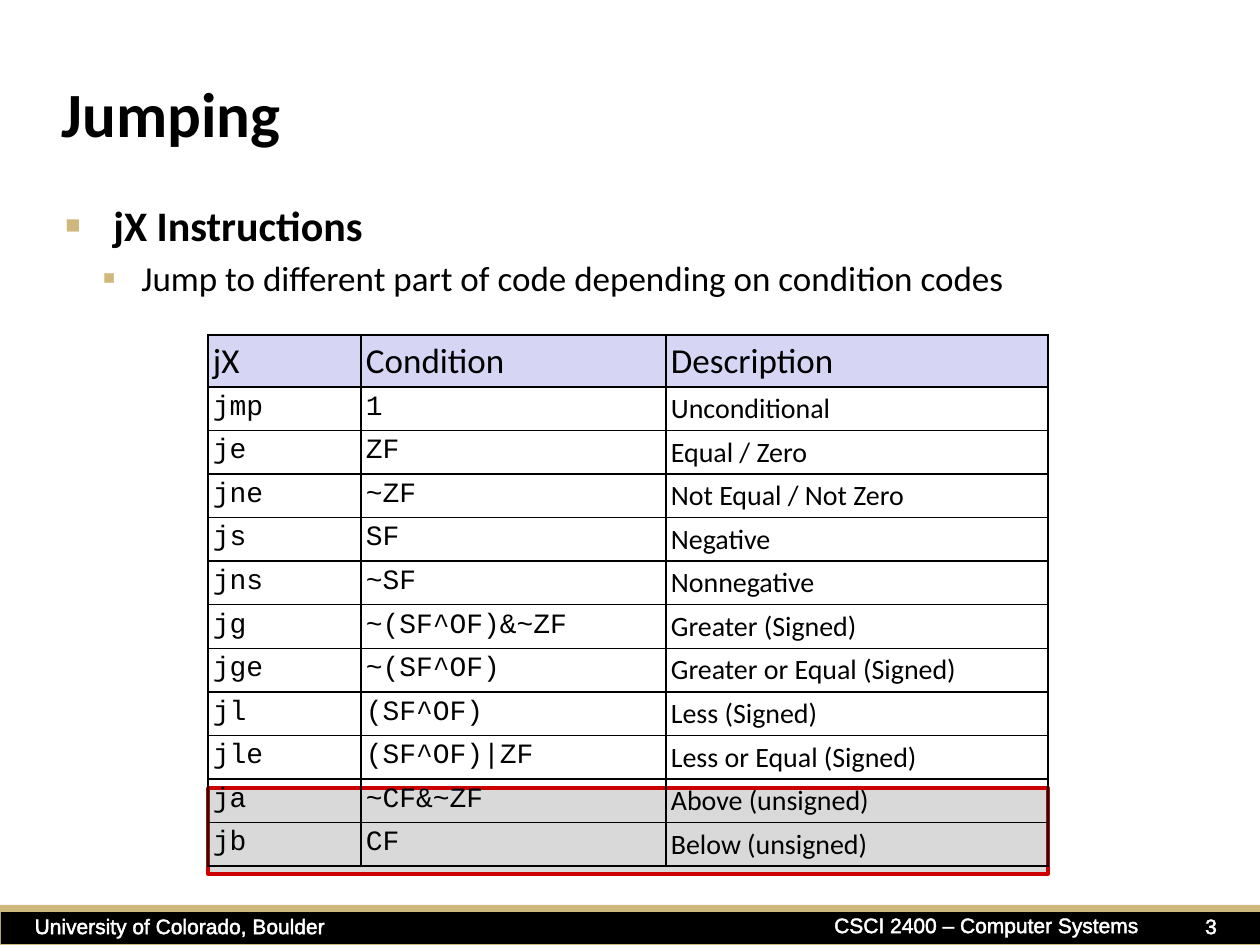
from lxml import etree
from pptx import Presentation
from pptx import util as u
from pptx.dml.color import RGBColor
from pptx.enum import shapes, text
from pptx.oxml import ns

SCALE = 914400 / 126  # EMU per px

BLACK = RGBColor(0x00, 0x00, 0x00)
WHITE = RGBColor(0xFF, 0xFF, 0xFF)
GOLD = RGBColor(0xCF, 0xB8, 0x7C)
GREY = RGBColor(0xD9, 0xD9, 0xD9)
RED = RGBColor(0xCC, 0x00, 0x00)
LAVENDER = RGBColor(0xD6, 0xD6, 0xF4)

JUMPS = [
    ("jX", "Condition", "Description"),
    ("jmp", "1", "Unconditional"),
    ("je", "ZF", "Equal / Zero"),
    ("jne", "~ZF", "Not Equal / Not Zero"),
    ("js", "SF", "Negative"),
    ("jns", "~SF", "Nonnegative"),
    ("jg", "~(SF^OF)&~ZF", "Greater (Signed)"),
    ("jge", "~(SF^OF)", "Greater or Equal (Signed)"),
    ("jl", "(SF^OF)", "Less (Signed)"),
    ("jle", "(SF^OF)|ZF", "Less or Equal (Signed)"),
    ("ja", "~CF&~ZF", "Above (unsigned)"),
    ("jb", "CF", "Below (unsigned)"),
]
COLUMN_WIDTHS = (153, 305, 382)
HEADER_HEIGHT, ROW_HEIGHT = 52, 43


def px(length):
    return u.Emu(round(length * SCALE))


def box(*lengths):
    return [px(length) for length in lengths]


def add_xml(parent, tag, index=None, **attributes):
    child = etree.Element(ns.qn(tag), attributes)
    parent.insert(len(parent) if index is None else index, child)
    return child


def add_line(parent, tag, index, points, color):
    line = add_xml(parent, tag, index, w=str(u.Pt(points)))
    add_xml(add_xml(line, "a:solidFill"), "a:srgbClr", val=str(color))


def style(paragraph, size, font="Calibri", color=BLACK, bold=False):
    paragraph.font.size = u.Pt(size)
    paragraph.font.name = font
    paragraph.font.color.rgb = color
    paragraph.font.bold = bold


def add_rectangle(slide, place, fill, line=None):
    rectangle = slide.shapes.add_shape(shapes.MSO_SHAPE.RECTANGLE, *box(*place))
    rectangle.shadow.inherit = False
    rectangle.fill.solid()
    rectangle.fill.fore_color.rgb = fill
    if line is None:
        rectangle.line.fill.background()
    else:
        rectangle.line.color.rgb = line
        rectangle.line.width = u.Pt(2)


def add_footer_text(slide, place, words, wrap=True):
    frame = slide.shapes.add_textbox(*box(*place)).text_frame
    frame.word_wrap = wrap
    paragraph = frame.paragraphs[0]
    paragraph.alignment = text.PP_ALIGN.CENTER
    run = paragraph.add_run()
    run.text = words
    style(paragraph, 12, "Arial", WHITE)
    add_line(run._r.get_or_add_rPr(), "a:ln", 0, 0.75, WHITE)


def add_bullet(paragraph, words, size, margin, hang, mark, mark_size, bold):
    paragraph.text = words
    style(paragraph, size, bold=bold)
    paragraph.space_before = u.Pt(size * 0.2)
    properties = paragraph._p.get_or_add_pPr()
    properties.set("marL", str(px(margin)))
    properties.set("indent", str(px(-hang)))
    # Bullet settings belong before the default run properties
    settings = [
        ("a:buClr", {}),
        ("a:buSzPct", {"val": str(mark_size * 1000)}),
        ("a:buFont", {"typeface": "Arial"}),
        ("a:buChar", {"char": mark}),
    ]
    start = properties.index(properties.find(ns.qn("a:defRPr")))
    for offset, (tag, attributes) in enumerate(settings):
        setting = add_xml(properties, tag, start + offset, **attributes)
        if tag == "a:buClr":
            add_xml(setting, "a:srgbClr", val=str(GOLD))


def fill_cell(cell, words, is_header, is_code):
    cell.text = words
    cell.margin_left = cell.margin_right = px(5)
    cell.margin_top = cell.margin_bottom = px(5)
    style(cell.text_frame.paragraphs[0], 20 if is_header else 16,
          "Courier New" if is_code else "Calibri")
    for index, side in enumerate(("a:lnL", "a:lnR", "a:lnT", "a:lnB")):
        add_line(cell._tc.get_or_add_tcPr(), side, index, 1, BLACK)
    if is_header:
        cell.fill.solid()
        cell.fill.fore_color.rgb = LAVENDER
    else:
        cell.fill.background()


def add_jump_table(slide, left, top):
    height = HEADER_HEIGHT + ROW_HEIGHT * (len(JUMPS) - 1)
    table = slide.shapes.add_table(
        len(JUMPS), len(COLUMN_WIDTHS),
        *box(left, top, sum(COLUMN_WIDTHS), height)).table
    table.first_row = table.horz_banding = False
    for column, width in zip(table.columns, COLUMN_WIDTHS):
        column.width = px(width)
    for r, jump in enumerate(JUMPS):
        table.rows[r].height = px(ROW_HEIGHT if r else HEADER_HEIGHT)
        for c, words in enumerate(jump):
            fill_cell(table.cell(r, c), words, r == 0, r > 0 and c < 2)


def add_title(slide, words):
    title = slide.shapes.title
    title.left, title.top, title.width, title.height = box(49, 60, 1046, 105)
    title.text_frame.text = words
    title.text_frame.vertical_anchor = text.MSO_ANCHOR.MIDDLE
    paragraph = title.text_frame.paragraphs[0]
    paragraph.alignment = text.PP_ALIGN.LEFT
    style(paragraph, 36, bold=True)


def add_body(slide):
    frame = slide.shapes.add_textbox(*box(53, 193, 1155, 118)).text_frame
    frame.word_wrap = True
    add_bullet(frame.paragraphs[0], "jX Instructions",
               24, 48, 48, "■", 60, True)
    detail = frame.add_paragraph()
    detail.level = 1
    add_bullet(detail, "Jump to different part of code depending on condition codes",
               20, 76, 39, "▪", 110, False)


def main():
    deck = Presentation()
    deck.slide_width, deck.slide_height = box(1260, 945)
    slide = deck.slides.add_slide(deck.slide_layouts[5])

    # Footer band
    add_rectangle(slide, (0, 905, 1260, 40), GOLD)
    add_rectangle(slide, (1, 912, 1260, 32), BLACK)
    add_footer_text(slide, (21, 907, 318, 38), "University of Colorado, Boulder", wrap=False)
    add_footer_text(slide, (819, 906, 335, 38), "CSCI 2400 – Computer Systems")
    add_footer_text(slide, (1182, 907, 58, 38), "3")

    # Heading and bullets
    add_title(slide, "Jumping")
    add_body(slide)

    # Highlight behind the unsigned jumps, then the table
    add_rectangle(slide, (208, 788, 840, 86), GREY, RED)
    add_jump_table(slide, 208, 335)

    deck.save("out.pptx")


if __name__ == "__main__":
    main()
